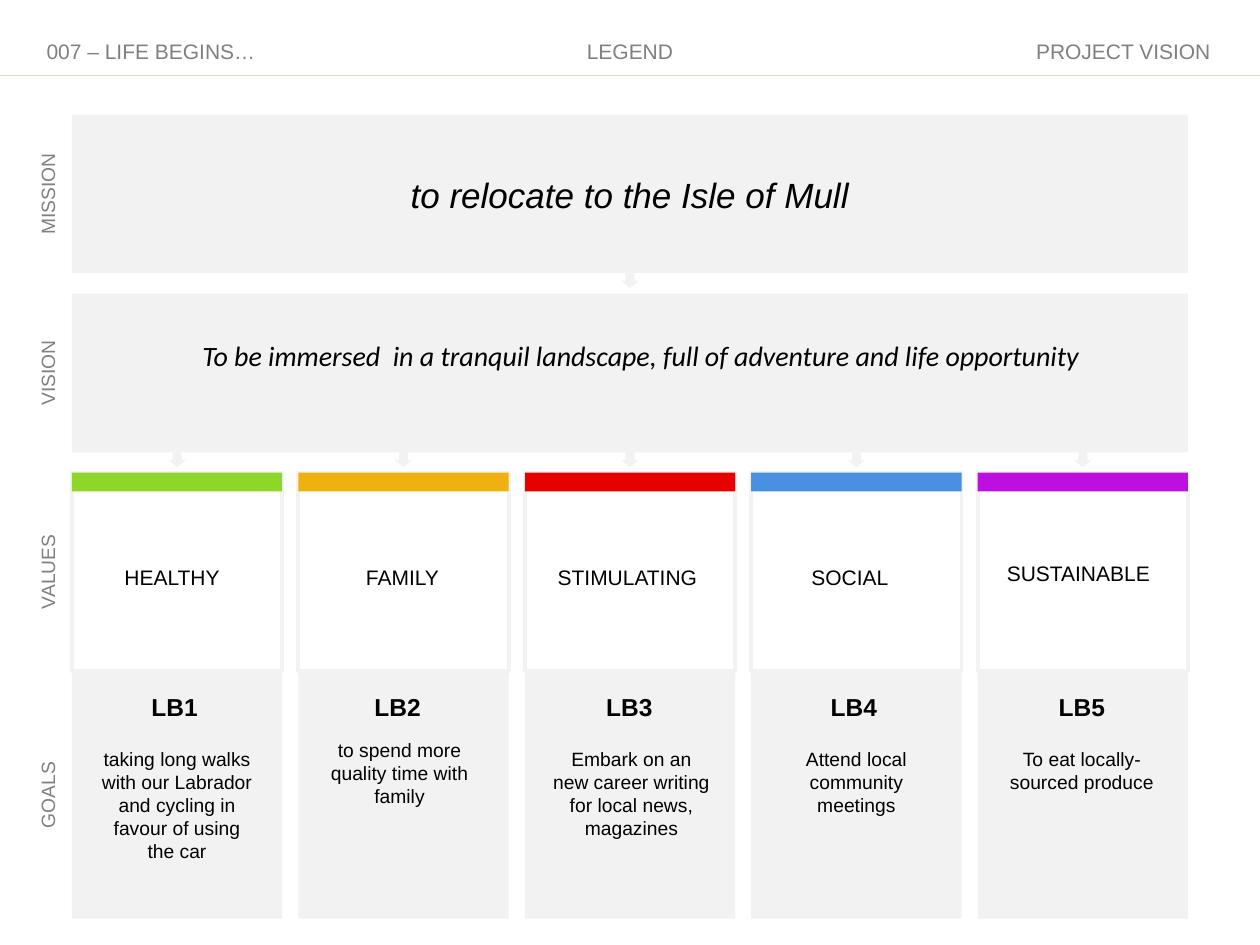
from lxml import etree
from pptx import Presentation
from pptx.dml.color import RGBColor
from pptx.enum import shapes, text
from pptx.oxml.ns import qn
from pptx.util import Cm, Pt

PALE, GREY, BLACK, WHITE = "F2F2F2", "808080", "000000", "FFFFFF"
LEFT, WIDTH = 1.45, 22.5
COL_W = 4.24
MISSION, VISION = (2.31, 3.2), (5.92, 3.2)  # top and height of each row
VALUES, GOALS = (9.53, 3.99), (13.54, 4.98)

# colour, value, code, goal, then the sideways shift of each of the three texts
# and the rise of the value and of the goal
COLUMNS = [
    ("8ED72A", "HEALTHY", "LB1",
     "taking long walks with our Labrador and cycling in favour of using the car",
     (-0.1, -0.05, 0), (0, 0)),
    ("EFB110", "FAMILY", "LB2", "to spend more quality time with family",
     (-0.02, -0.12, -0.08), (0, 0.18)),
    ("E60000", "STIMULATING", "LB3",
     "Embark on an new career writing for local news, magazines",
     (-0.05, -0.01, 0.03), (0, 0)),
    ("4A90E2", "SOCIAL", "LB4", "Attend local community meetings",
     (-0.13, -0.05, 0), (0, 0)),
    ("BD10E0", "SUSTAINABLE", "LB5", "To eat locally-sourced produce",
     (-0.09, -0.02, -0.02), (0.08, 0)),
]


def rgb(value):
    return RGBColor.from_string(value)


def format_text(sp, words, size=12, color=BLACK, font="Arial", bold=False,
                italic=False, align="CENTER"):
    tf = sp.text_frame
    tf.word_wrap = True
    tf.auto_size = text.MSO_AUTO_SIZE.SHAPE_TO_FIT_TEXT
    tf.vertical_anchor = text.MSO_ANCHOR.TOP
    p = tf.paragraphs[0]
    p.alignment = getattr(text.PP_ALIGN, align)
    r = p.add_run()
    r.text = words
    r.font.name, r.font.size = font, Pt(size)
    r.font.bold, r.font.italic = bold, italic
    r.font.color.rgb = rgb(color)


def add_text(s, x, y, w, h, words, **fmt):
    sp = s.shapes.add_textbox(Cm(x), Cm(y), Cm(w), Cm(h))
    format_text(sp, words, **fmt)
    return sp


def add_block(s, x, y, w, h, fill=PALE, line=None, kind="RECTANGLE"):
    sp = s.shapes.add_shape(getattr(shapes.MSO_SHAPE, kind),
                            Cm(x), Cm(y), Cm(w), Cm(h))
    sp.shadow.inherit = False
    sp.fill.solid()
    sp.fill.fore_color.rgb = rgb(fill)
    if line:
        sp.line.color.rgb = rgb(line)
        sp.line.width = Pt(2.25)
    else:
        sp.line.fill.background()


def add_arrow(s, center, y):
    add_block(s, center - 0.18, y, 0.36, 0.3, kind="DOWN_ARROW")


def add_row_label(s, words, top, height):
    """Upright label in the left margin, centred on its row."""
    center, thick = 0.97, 0.74
    sp = add_text(s, center - height / 2, top + (height - thick) / 2,
                  height, thick, words, size=11, color=GREY)
    sp.rotation = 270


def add_header(s, width, height):
    y, w, h, margin = 0.65, 6, 0.77, 0.69
    add_text(s, margin, y, w, h, "007 – LIFE BEGINS…", color=GREY, align="LEFT")
    add_text(s, (width - w) / 2, y, w, h, "LEGEND", color=GREY)
    title = s.shapes.title
    title.left, title.top = Cm(width - margin - w - 0.05), Cm(y)
    title.width, title.height = Cm(w), Cm(h)
    format_text(title, "PROJECT VISION", color=GREY, align="RIGHT")
    rule = s.shapes.add_connector(shapes.MSO_CONNECTOR.STRAIGHT,
                                  0, Cm(height), Cm(width), Cm(height))
    rule.line.color.rgb = rgb("DDD9C3")
    rule.line.width = Pt(0.75)
    etree.SubElement(rule.element.spPr, qn("a:effectLst"))


def add_statement(s, top, height, words, drop, shift=0, **fmt):
    """Full-width band holding one centred sentence."""
    add_block(s, LEFT, top, WIDTH, height)
    w = 21
    add_text(s, LEFT + (WIDTH - w) / 2 + shift, top + drop, w, 1, words,
             italic=True, **fmt)


def add_column(s, x, color, value, code, goal, shifts, rises):
    """A value card with its colour bar, above its goal card."""
    center, w = x + COL_W / 2, 3.68
    value_x, code_x, goal_x = (center - w / 2 + shift for shift in shifts)
    value_rise, goal_rise = rises
    add_arrow(s, center, sum(VISION))

    top, height = VALUES
    add_block(s, x, top, COL_W, height, WHITE, PALE)
    add_block(s, x, top, COL_W, 0.38, color)
    add_text(s, value_x, top + 1.72 - value_rise, w, 0.77, value)

    top, height = GOALS
    add_block(s, x, top, COL_W, height)
    add_text(s, code_x, top + 0.28, w, 0.86, code, size=14, bold=True)
    add_text(s, goal_x, top + 1.4 - goal_rise, w, 2, goal, size=11)


def main():
    prs = Presentation()
    prs.slide_width, prs.slide_height = Cm(25.4), Cm(19.05)
    s = prs.slides.add_slide(prs.slide_layouts[5])
    add_header(s, 25.4, 1.52)
    add_statement(s, *MISSION, "to relocate to the Isle of Mull", 1.07, size=20)
    add_statement(s, *VISION, "To be immersed  in a tranquil landscape, "
                  "full of adventure and life opportunity", 0.79, 0.22,
                  size=16, font="Calibri")
    add_arrow(s, LEFT + WIDTH / 2, sum(MISSION))
    pitch = (WIDTH - COL_W) / (len(COLUMNS) - 1)
    for i, column in enumerate(COLUMNS):
        add_column(s, LEFT + i * pitch, *column)
    rows = {"MISSION": MISSION, "VISION": VISION, "VALUES": VALUES, "GOALS": GOALS}
    for words, row in rows.items():
        add_row_label(s, words, *row)
    prs.save("out.pptx")


if __name__ == "__main__":
    main()
